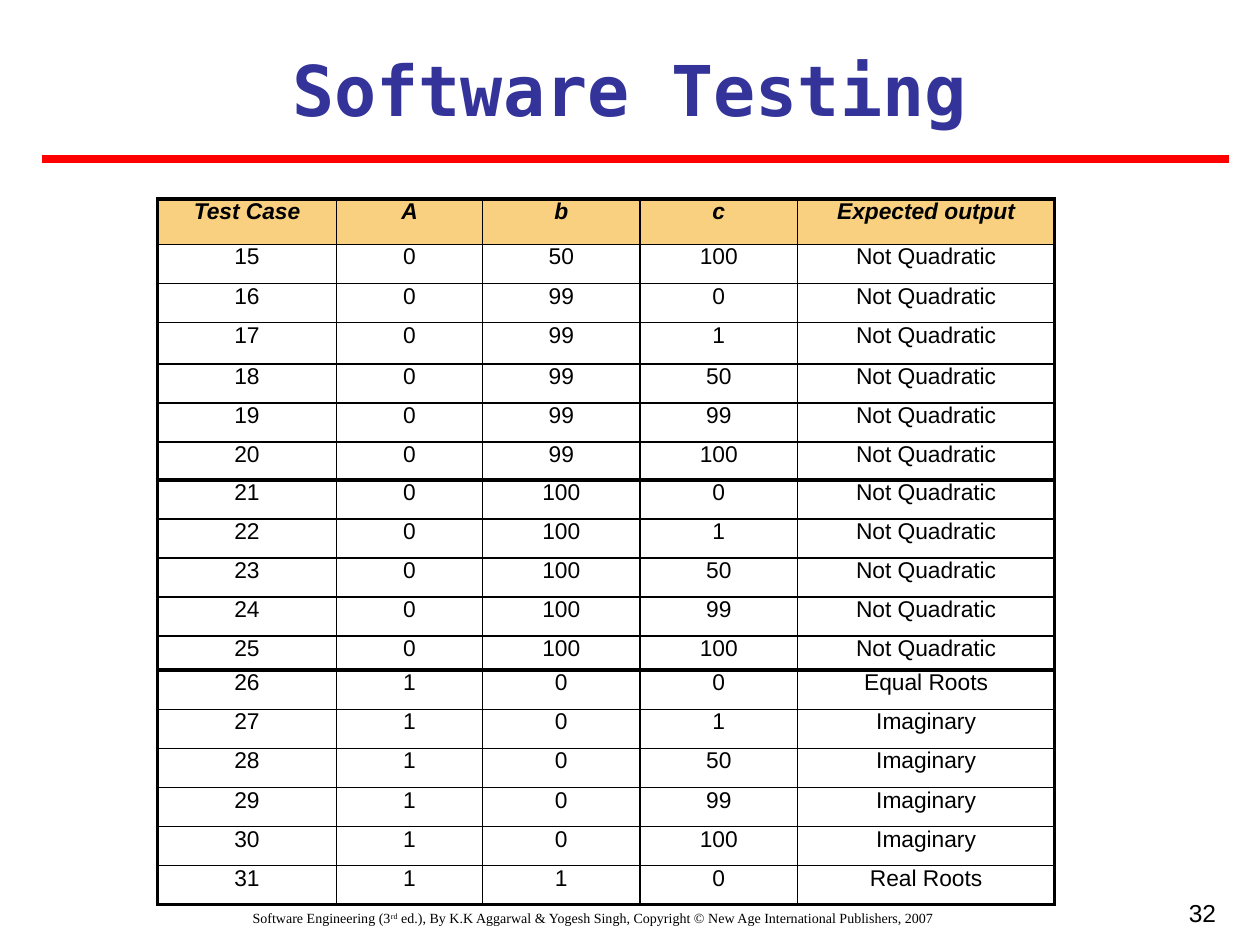
from itertools import accumulate
from lxml import etree
from pptx import Presentation
from pptx.dml.color import RGBColor
from pptx.enum.shapes import MSO_CONNECTOR
from pptx.enum.text import MSO_ANCHOR, MSO_AUTO_SIZE, PP_ALIGN
from pptx.oxml.ns import qn
from pptx.util import Inches, Pt

STRAIGHT = MSO_CONNECTOR.STRAIGHT
TOP = MSO_ANCHOR.TOP
GROW = MSO_AUTO_SIZE.SHAPE_TO_FIT_TEXT
CENTER, RIGHT = PP_ALIGN.CENTER, PP_ALIGN.RIGHT

THEME = {
    "title": ("DejaVu Sans Mono", 40, "333399"),
    "table": ("Arial", 13, "000000"),
    "number": ("Arial", 14, "000000"),
    "footer": ("Times New Roman", 8, "000000"),
    "rule": ("FF0000", 4.5),
    "header_fill": "F8D080",
    "border": "000000",
    "thin": 1,
    "thick": 2.25,
}

TITLE = "Software Testing"
PAGE_NUMBER = "32"
FOOTER = [
    ("Software Engineering (3", False),
    ("rd", True),
    (" ed.), By K.K Aggarwal & Yogesh Singh, Copyright © New Age International Publishers, 2007", False),
]
HEADER = ("Test Case", "A", "b", "c", "Expected output")
NOT_QUADRATIC, IMAGINARY = "Not Quadratic", "Imaginary"
GROUPS = [
    [
        HEADER,
        (15, 0, 50, 100, NOT_QUADRATIC),
        (16, 0, 99, 0, NOT_QUADRATIC),
        (17, 0, 99, 1, NOT_QUADRATIC),
        (18, 0, 99, 50, NOT_QUADRATIC),
        (19, 0, 99, 99, NOT_QUADRATIC),
        (20, 0, 99, 100, NOT_QUADRATIC),
    ],
    [
        (21, 0, 100, 0, NOT_QUADRATIC),
        (22, 0, 100, 1, NOT_QUADRATIC),
        (23, 0, 100, 50, NOT_QUADRATIC),
        (24, 0, 100, 99, NOT_QUADRATIC),
        (25, 0, 100, 100, NOT_QUADRATIC),
    ],
    [
        (26, 1, 0, 0, "Equal Roots"),
        (27, 1, 0, 1, IMAGINARY),
        (28, 1, 0, 50, IMAGINARY),
        (29, 1, 0, 99, IMAGINARY),
        (30, 1, 0, 100, IMAGINARY),
        (31, 1, 1, 0, "Real Roots"),
    ],
]
TABLE_LEFT, TABLE_TOP = 1.25, 1.58
COLUMN_WIDTHS = (1.42, 1.16, 1.25, 1.25, 2.04)
ROW_HEIGHT = 0.31
SPECIAL_HEIGHTS = {"Test Case": 0.36, 17: 0.33, 20: 0.3, 25: 0.27}


def style(para, role, align, bold=False, italic=False):
    name, size, color = THEME[role]
    para.alignment = align
    para.font.name = name
    para.font.size = Pt(size)
    para.font.bold = bold
    para.font.italic = italic
    para.font.color.rgb = RGBColor.from_string(color)


def add_box(page, left, top, width, height):
    box = page.shapes.add_textbox(Inches(left), Inches(top), Inches(width), Inches(height))
    box.text_frame.word_wrap = True
    return box.text_frame.paragraphs[0]


def set_borders(cell, widths):
    properties = cell._tc.get_or_add_tcPr()
    for side, width in zip("LRTB", widths):
        line = etree.SubElement(properties, qn(f"a:ln{side}"), w=str(int(Pt(width))))
        fill = etree.SubElement(line, qn("a:solidFill"))
        etree.SubElement(fill, qn("a:srgbClr"), val=THEME["border"])


def fill_cell(cell, value, is_header, outer_sides):
    set_borders(cell, [THEME["thick" if outer else "thin"] for outer in outer_sides])
    if is_header:
        cell.fill.solid()
        cell.fill.fore_color.rgb = RGBColor.from_string(THEME["header_fill"])
    else:
        cell.fill.background()
    cell.margin_top = cell.margin_bottom = 0
    cell.vertical_anchor = TOP
    cell.text = str(value)
    style(cell.text_frame.paragraphs[0], "table", CENTER, bold=is_header, italic=is_header)


def add_group(page, rows, top, heights):
    frame = page.shapes.add_table(
        len(rows), len(HEADER), Inches(TABLE_LEFT), Inches(top),
        Inches(sum(COLUMN_WIDTHS)), Inches(sum(heights)))
    table = frame.table
    table.first_row = table.horz_banding = False
    for column, width in zip(table.columns, COLUMN_WIDTHS):
        column.width = Inches(width)
    last_row, last_column = len(rows) - 1, len(HEADER) - 1
    for r, (values, height) in enumerate(zip(rows, heights)):
        table.rows[r].height = Inches(height)
        for c, value in enumerate(values):
            outer_sides = (c == 0, c == last_column, r == 0, r == last_row)
            fill_cell(table.cell(r, c), value, values is HEADER, outer_sides)


def add_title(page):
    title = page.shapes.title
    title.left, title.top = Inches(0.33), Inches(0.32)
    title.width, title.height = Inches(9.33), Inches(0.77)
    frame = title.text_frame
    frame.text = TITLE
    frame.word_wrap = True
    frame.auto_size = GROW
    frame.vertical_anchor = TOP
    style(frame.paragraphs[0], "title", CENTER, bold=True)


def add_rule(page):
    color, width = THEME["rule"]
    rule = page.shapes.add_connector(STRAIGHT, Inches(0.33), Inches(1.26), Inches(9.75), Inches(1.26))
    rule.line.color.rgb = RGBColor.from_string(color)
    rule.line.width = Pt(width)
    etree.SubElement(rule._element.spPr, qn("a:effectLst"))


def add_footer(page):
    para = add_box(page, 0.25, 7.17, 8.92, 0.33)
    for text, raised in FOOTER:
        span = para.add_run()
        span.text = text
        if raised:
            span._r.get_or_add_rPr().set("baseline", "30000")
    style(para, "footer", CENTER)
    number = add_box(page, 7.42, 7.08, 2.33, 0.59)
    number.text = PAGE_NUMBER
    style(number, "number", RIGHT)


def main():
    deck = Presentation()
    deck.slide_width, deck.slide_height = Inches(10), Inches(7.5)
    page = deck.slides.add_slide(deck.slide_layouts[5])
    add_footer(page)
    add_title(page)
    add_rule(page)
    group_heights = [[SPECIAL_HEIGHTS.get(row[0], ROW_HEIGHT) for row in rows] for rows in GROUPS]
    tops = accumulate(map(sum, group_heights), initial=TABLE_TOP)
    for rows, top, heights in zip(GROUPS, tops, group_heights):
        add_group(page, rows, top, heights)
    deck.save("out.pptx")


if __name__ == "__main__":
    main()
